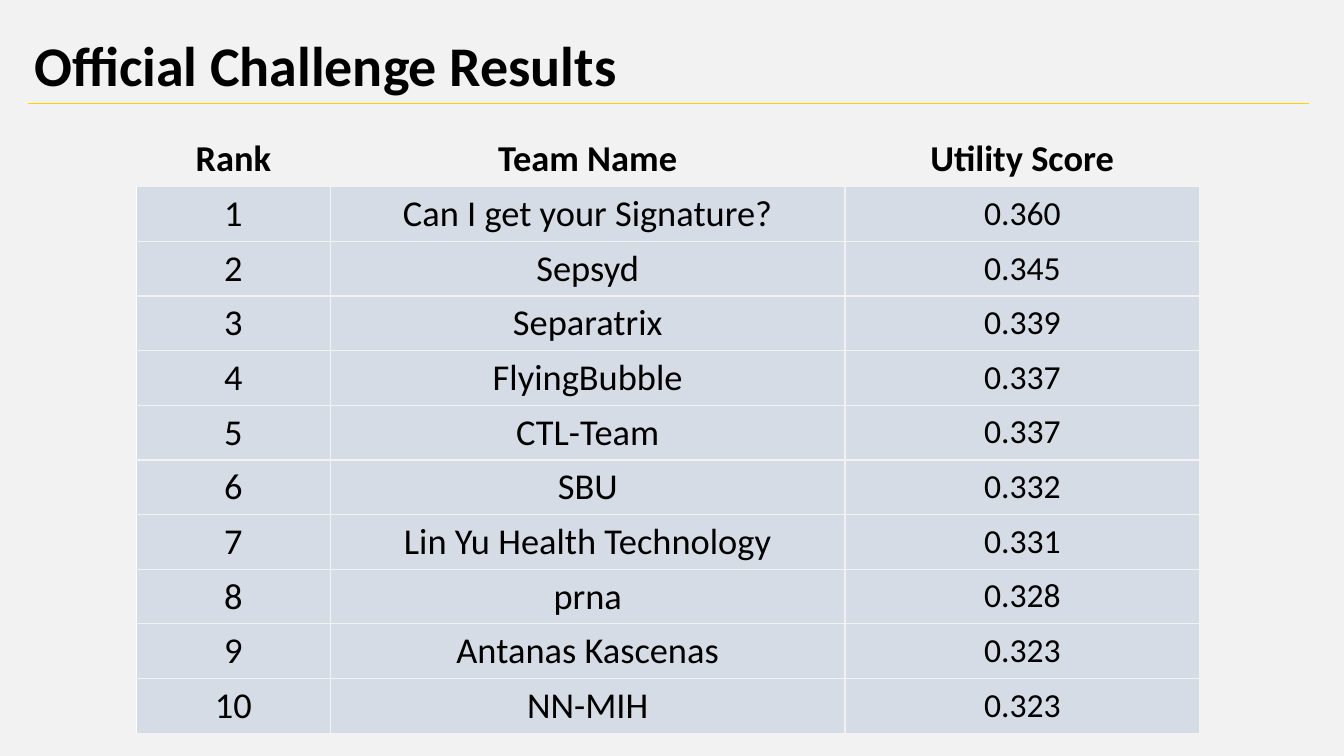
from lxml.etree import SubElement as Sub
from pptx import Presentation
from pptx.dml.color import RGBColor
from pptx.enum.shapes import MSO_CONNECTOR
from pptx.enum.text import MSO_ANCHOR, PP_ALIGN
from pptx.oxml.ns import qn
from pptx.util import Inches, Pt

BLACK = RGBColor(0x00, 0x00, 0x00)
WHITE = RGBColor(0xFF, 0xFF, 0xFF)
GRAY = RGBColor(0xF2, 0xF2, 0xF2)
BLUE = RGBColor(0xD6, 0xDC, 0xE5)
GOLD = RGBColor(0xFF, 0xD3, 0x00)

HEAD = ("Rank", "Team Name", "Utility Score")
TEAMS = [
    ("Can I get your Signature?", "0.360"),
    ("Sepsyd", "0.345"),
    ("Separatrix", "0.339"),
    ("FlyingBubble", "0.337"),
    ("CTL-Team", "0.337"),
    ("SBU", "0.332"),
    ("Lin Yu Health Technology", "0.331"),
    ("prna", "0.328"),
    ("Antanas Kascenas", "0.323"),
    ("NN-MIH", "0.323"),
]
WIDTHS = (1.93, 5.1, 3.52)
ROW = 0.54


def style(para, size, bold, align):
    para.alignment = align
    font = para.runs[0].font
    font.name = "Calibri"
    font.size = Pt(size)
    font.bold = bold
    font.color.rgb = BLACK


def border(cell, side, color):
    line = Sub(cell._tc.get_or_add_tcPr(), qn("a:ln" + side), w=str(Pt(1)))
    fill = Sub(line, qn("a:solidFill"))
    Sub(fill, qn("a:srgbClr"), val=str(color))


prs = Presentation()
prs.slide_width = Inches(13.33)
prs.slide_height = Inches(7.5)
slide = prs.slides.add_slide(prs.slide_layouts[5])
slide.background.fill.solid()
slide.background.fill.fore_color.rgb = GRAY

rule = slide.shapes.add_connector(
    MSO_CONNECTOR.STRAIGHT, Inches(0.28), Inches(1.03), Inches(12.98), Inches(1.03))
rule.line.color.rgb = GOLD
rule.line.width = Pt(0.5)
Sub(rule._element.spPr, qn("a:effectLst"))

title = slide.shapes.title
title.left, title.top = Inches(0.24), Inches(0.18)
title.width, title.height = Inches(12.78), Inches(0.99)
frame = title.text_frame
frame.text = "Official Challenge Results"
frame.vertical_anchor = MSO_ANCHOR.MIDDLE
frame.paragraphs[0].line_spacing = 0.9
style(frame.paragraphs[0], 40, True, PP_ALIGN.LEFT)

rows = [HEAD] + [(str(rank), *team) for rank, team in enumerate(TEAMS, 1)]
table = slide.shapes.add_table(
    len(rows), len(HEAD), Inches(1.35), Inches(1.31),
    Inches(sum(WIDTHS)), Inches(ROW * len(rows))).table
table.horz_banding = False
for col, width in zip(table.columns, WIDTHS):
    col.width = Inches(width)

for r, row in enumerate(rows):
    table.rows[r].height = Inches(ROW)
    for c, text in enumerate(row):
        cell = table.cell(r, c)
        cell.text_frame.text = text
        cell.vertical_anchor = MSO_ANCHOR.MIDDLE
        size = 24 if r and c == 2 else 26
        style(cell.text_frame.paragraphs[0], size, r == 0, PP_ALIGN.CENTER)
        for side in "LRTB":
            edge = r and c == 0 and side == "L"
            border(cell, side, WHITE if edge else GRAY)
        if r:
            cell.fill.solid()
            cell.fill.fore_color.rgb = BLUE
        else:
            cell.fill.background()

prs.save("out.pptx")
